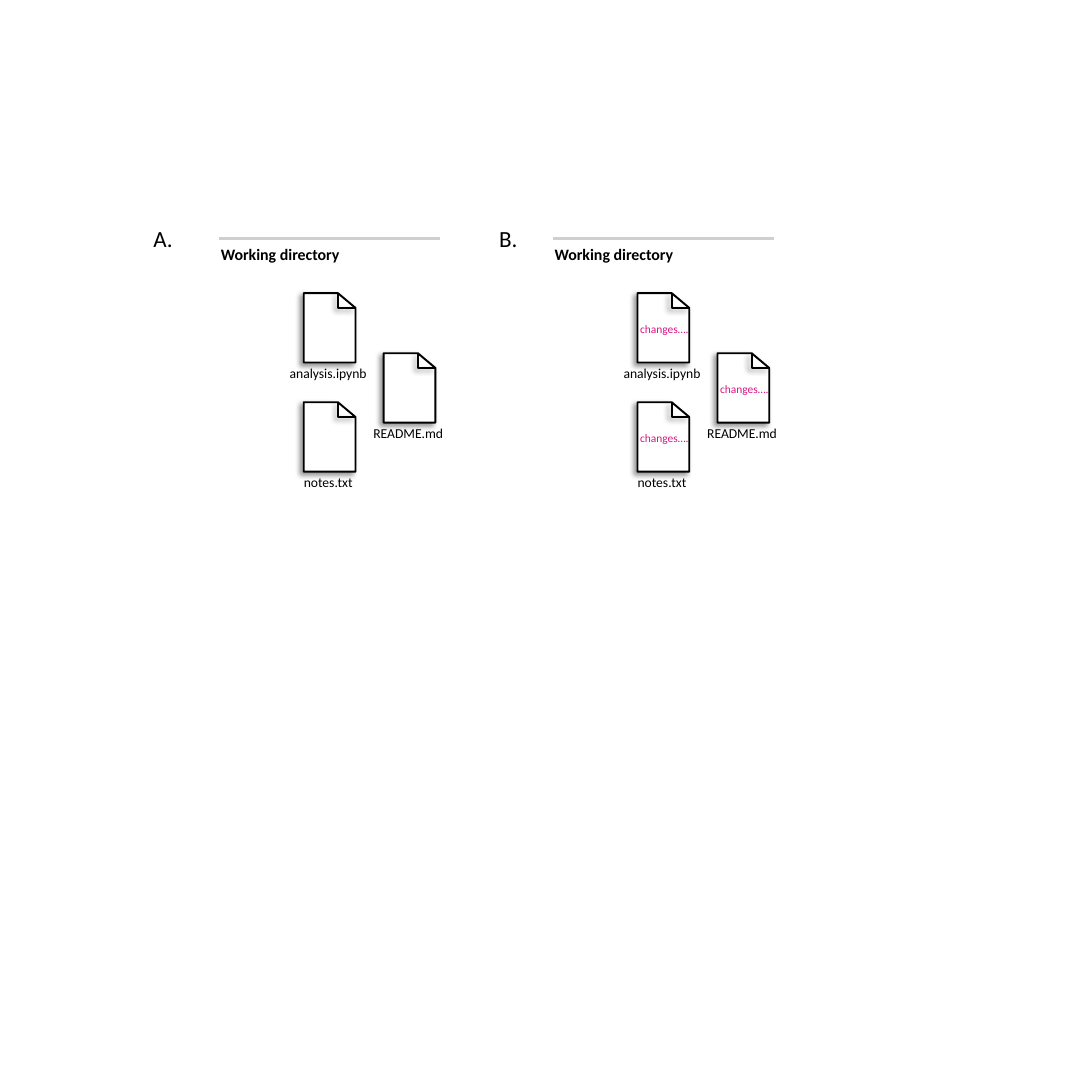
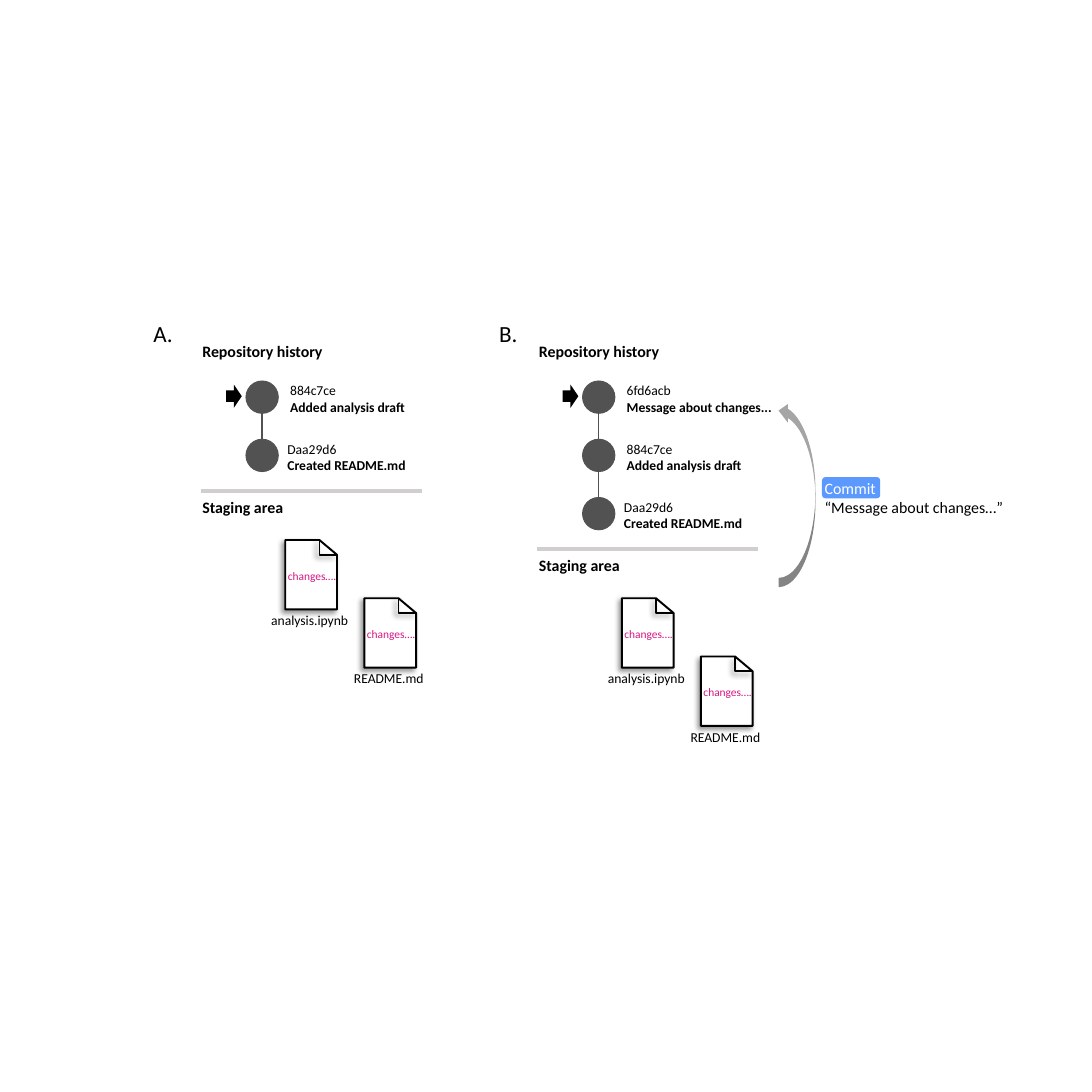
from lxml.etree import SubElement
from pptx import Presentation
from pptx.dml.color import RGBColor
from pptx.enum.shapes import MSO_CONNECTOR, MSO_SHAPE
from pptx.enum.text import PP_ALIGN
from pptx.oxml.ns import qn
from pptx.util import Inches, Pt

SIDE = 118.1  # the slide is a square of this many grid cells, ten to the inch
FONT = "Calibri"
BLACK, WHITE = "000000", "FFFFFF"
RULE_GREY, COMMIT_GREY, ARROW_GREY = "D0CECE", "525252", "A5A5A5"
CHANGE_PINK, COMMIT_BLUE = "D61784", "5B99FF"
LETTER_SIZE, HEADING_SIZE, LABEL_SIZE, CHANGE_SIZE = 18, 12.4, 10.6, 8.9

LETTER_COLUMNS = {"A.": 15.6, "B.": 53}
RULE_WIDTH = 23.9
PAGE_WIDTH, PAGE_HEIGHT = 5.6, 7.5
FOLD_COLUMN, FOLD_ROW = 3.7, 1.6
DOT, COMMIT_PITCH = 3.5, 6.3


def cells(count):
    return Inches(count / 10)


def color(value):
    return RGBColor.from_string(value)


def add_text(shapes, left, top, width, height, size, lines, align=PP_ALIGN.LEFT):
    """Add a text box; each line is (text, bold, colour) and its own paragraph."""
    box = shapes.add_textbox(cells(left), cells(top), cells(width), cells(height))
    frame = box.text_frame
    frame.word_wrap = True
    for index, (text, bold, text_color) in enumerate(lines):
        paragraph = frame.add_paragraph() if index else frame.paragraphs[0]
        paragraph.alignment = align
        add_run(paragraph, text, size, text_color, bold)
    return box


def add_run(paragraph, text, size, text_color, bold=False):
    run = paragraph.add_run()
    run.text = text
    run.font.name = FONT
    run.font.size = Pt(size)
    run.font.bold = bold
    run.font.color.rgb = color(text_color)


def add_line(shapes, start, end, line_color, width):
    line = shapes.add_connector(MSO_CONNECTOR.STRAIGHT, *map(cells, start + end))
    line.line.color.rgb = color(line_color)
    line.line.width = Pt(width)
    SubElement(line._element.spPr, qn("a:effectLst"))


def add_filled(shapes, kind, left, top, width, height, fill):
    shape = shapes.add_shape(kind, *map(cells, (left, top, width, height)))
    shape.shadow.inherit = False
    shape.fill.solid()
    shape.fill.fore_color.rgb = color(fill)
    shape.line.fill.background()
    return shape


def add_outline(shapes, points, closed):
    """Draw a black outline with a soft shadow; a closed one is filled white."""
    corners = [(cells(column), cells(row)) for column, row in points]
    builder = shapes.build_freeform(*corners[0])
    builder.add_line_segments(corners[1:], close=closed)
    outline = builder.convert_to_shape()
    if closed:
        outline.fill.solid()
        outline.fill.fore_color.rgb = color(WHITE)
    else:
        outline.fill.background()
    outline.line.color.rgb = color(BLACK)
    outline.line.width = Pt(1.5)
    outline.shadow.inherit = False
    effects = outline._element.spPr.find(qn("a:effectLst"))
    shadow = SubElement(effects, qn("a:outerShdw"), blurRad=str(Pt(4)),
                        dist=str(Pt(3)), dir="8100000", algn="tr", rotWithShape="0")
    shade = SubElement(shadow, qn("a:srgbClr"), val=BLACK)
    SubElement(shade, qn("a:alpha"), val="40000")


def add_document(slide, left, top, name, changed):
    """Draw a page with a folded corner and its file name below."""
    right, bottom = left + PAGE_WIDTH, top + PAGE_HEIGHT
    fold_left, fold_bottom = left + FOLD_COLUMN, top + FOLD_ROW
    shapes = slide.shapes.add_group_shape().shapes
    add_outline(shapes, [(left, top), (fold_left, top), (right, fold_bottom),
                         (right, bottom), (left, bottom)], True)
    add_outline(shapes, [(fold_left, top), (fold_left, fold_bottom),
                         (right, fold_bottom)], False)
    if changed:
        add_text(shapes, left - 0.7, top + 2.6, 9.3, 2.5, CHANGE_SIZE,
                 [("changes….", False, CHANGE_PINK)])
    label_width = 12
    add_text(slide.shapes, left + (PAGE_WIDTH - label_width) / 2 - 0.15, top + 7.3,
             label_width, 2.8, LABEL_SIZE, [(name, False, BLACK)], PP_ALIGN.CENTER)


def add_heading(slide, left, top, text):
    add_text(slide.shapes, left - 0.8, top, 16, 3.1, HEADING_SIZE,
             [(text, True, BLACK)])


def add_letter(slide, letter, top):
    add_text(slide.shapes, LETTER_COLUMNS[letter], top, 4.2, 4, LETTER_SIZE,
             [(letter, False, BLACK)])


def add_file_area(slide, left, top, title, files, changed):
    """Add a rule, a heading and files, each placed relative to the rule's left end."""
    add_line(slide.shapes, (left, top), (left + RULE_WIDTH, top), RULE_GREY, 3)
    add_heading(slide, left, top + 0.2, title)
    for name, column, row in files:
        add_document(slide, left + column, top + row, name, changed)


def add_history(slide, left, top, commits):
    """Draw commits newest first and return the row where the history ends."""
    add_heading(slide, left, top, "Repository history")
    dot_left, first_dot = left + 4.9, top + 4.7
    add_filled(slide.shapes, MSO_SHAPE.RIGHT_ARROW, left + 2.75, first_dot + 0.4,
               1.7, 2.5, BLACK)
    for index, (commit_id, message) in enumerate(commits):
        dot_top = first_dot + index * COMMIT_PITCH
        is_root = index == len(commits) - 1
        add_filled(slide.shapes, MSO_SHAPE.OVAL, dot_left, dot_top, DOT, DOT,
                   COMMIT_GREY).line.color.rgb = color(COMMIT_GREY)
        if not is_root:
            center = dot_left + DOT / 2
            add_line(slide.shapes, (center, dot_top + DOT),
                     (center, dot_top + COMMIT_PITCH), COMMIT_GREY, 1)
        add_text(slide.shapes, left + (8.4 if is_root else 8.7), dot_top - 0.35,
                 20, 4.6, LABEL_SIZE,
                 [(commit_id, False, BLACK), (message, True, BLACK)])
    return top + 4 + len(commits) * COMMIT_PITCH


def add_commit_step(slide, left, top):
    """Draw the arrow from the staging area up to the history, with its command."""
    arrow = add_filled(slide.shapes, MSO_SHAPE.CURVED_LEFT_ARROW, left, top,
                       4, 20.1, ARROW_GREY)
    arrow.rotation = 180
    arrow._element.spPr.get_or_add_xfrm().set("flipH", "1")
    shapes = slide.shapes.add_group_shape().shapes
    add_filled(shapes, MSO_SHAPE.ROUNDED_RECTANGLE, left + 4.7, top + 8.2,
               6.3, 2.3, COMMIT_BLUE)
    box = add_text(shapes, left + 4, top + 7.9, 23, 5.2, HEADING_SIZE,
                   [("Commit", False, WHITE)])
    paragraph = box.text_frame.paragraphs[0]
    paragraph.add_line_break()
    add_run(paragraph, "“Message about changes…”", HEADING_SIZE, BLACK)


def build_working_slide(slide):
    top = 25.8
    files = [("analysis.ipynb", 9.15, 5.9), ("README.md", 17.8, 12.4),
             ("notes.txt", 9.15, 17.7)]
    for letter, left, changed in (("A.", 23.7, False), ("B.", 59.8, True)):
        add_letter(slide, letter, top - 2)
        add_file_area(slide, left, top, "Working directory", files, changed)


def build_commit_slide(slide):
    top = 36.5
    files = [("analysis.ipynb", 9.15, 5.3), ("README.md", 17.7, 11.6)]
    commits = [("6fd6acb", "Message about changes..."),
               ("884c7ce", "Added analysis draft"),
               ("Daa29d6", "Created README.md")]
    for letter, left, shown in (("A.", 21.7, commits[1:]), ("B.", 58.1, commits)):
        add_letter(slide, letter, top - 2.5)
        staging_top = add_history(slide, left, top, shown)
        add_file_area(slide, left, staging_top, "Staging area", files, True)
    add_commit_step(slide, 84.2, top + 6.9)


def main():
    presentation = Presentation()
    presentation.slide_width = presentation.slide_height = cells(SIDE)
    blank = presentation.slide_layouts[6]
    for build in (build_working_slide, build_commit_slide):
        build(presentation.slides.add_slide(blank))
    presentation.save("out.pptx")


if __name__ == "__main__":
    main()
